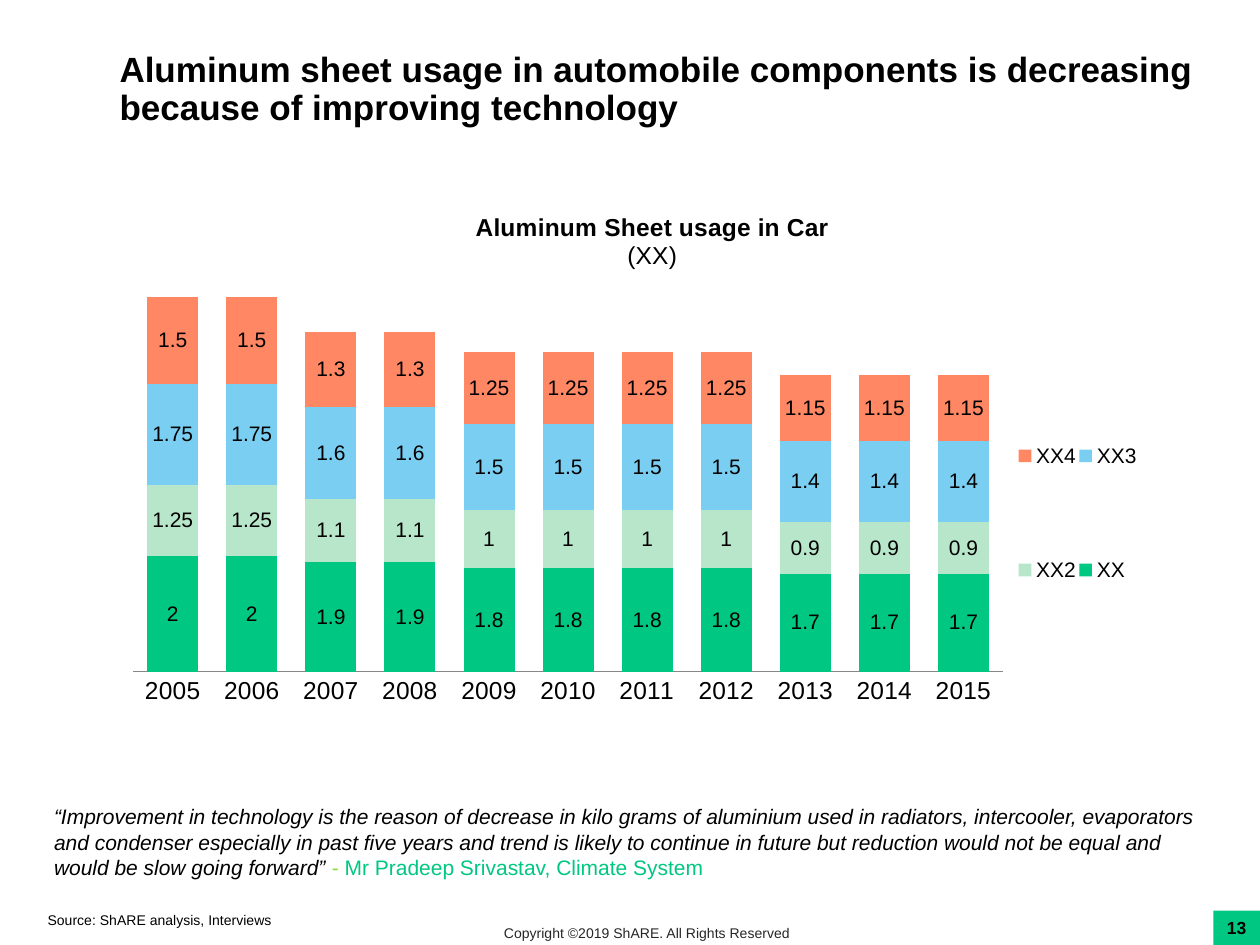
"""Build the slide on aluminum sheet usage in automobile components."""
import dataclasses

import lxml.etree
import pptx
import pptx.chart.data
import pptx.dml.color
import pptx.enum.chart
import pptx.enum.shapes
import pptx.enum.text
import pptx.oxml.ns
import pptx.util

Cm = pptx.util.Cm
Align = pptx.enum.text.PP_ALIGN
Anchor = pptx.enum.text.MSO_ANCHOR


@dataclasses.dataclass(frozen=True)
class Theme:
    font: str = "Arial"
    text: str = "000000"
    muted: str = "262626"
    green: str = "00C782"
    lime: str = "86E02D"
    axis: str = "878787"
    series: tuple = ("00C782", "B7E6CA", "79CEF1", "FF8763")
    title_size: int = 20
    chart_size: int = 14
    body_size: int = 12
    page_size: int = 10
    note_size: int = 8


def rgb(color):
    return pptx.dml.color.RGBColor.from_string(color)


def format_font(font, name, size, color, bold=False, italic=False):
    font.name = name
    font.size = pptx.util.Pt(size)
    font.color.rgb = rgb(color)
    font.bold = bold
    font.italic = italic


def write_text(paragraph, text, *, align=Align.LEFT, spacing=None, **style):
    paragraph.alignment = align
    if spacing:
        paragraph.line_spacing = spacing
    run = paragraph.add_run()
    run.text = text
    format_font(run.font, **style)


def set_layout(parent, index, inner=False, **fractions):
    qualify = pptx.oxml.ns.qn
    for previous in parent.findall(qualify("c:layout")):
        parent.remove(previous)
    layout = lxml.etree.Element(qualify("c:layout"))
    manual = lxml.etree.SubElement(layout, qualify("c:manualLayout"))
    settings = {"layoutTarget": "inner"} if inner else {}
    settings.update(xMode="edge", yMode="edge", **fractions)
    for name, value in settings.items():
        lxml.etree.SubElement(manual, qualify(f"c:{name}")).set("val", str(value))
    parent.insert(index, layout)


class SlideBuilder:
    def __init__(self, slide, theme):
        self.slide = slide
        self.theme = theme

    def style(self, size, color=None, **extra):
        return dict(name=self.theme.font, size=size, color=color or self.theme.text, **extra)

    def text_box(self, box, runs, wrap=True, anchor=Anchor.TOP, spacing=None):
        shape = self.slide.shapes.add_textbox(*map(Cm, box))
        frame = shape.text_frame
        frame.word_wrap = wrap
        frame.vertical_anchor = anchor
        for text, style in runs:
            write_text(frame.paragraphs[0], text, spacing=spacing, **style)

    def page_number(self, box, number):
        shape = self.slide.shapes.add_shape(
            pptx.enum.shapes.MSO_SHAPE.RECTANGLE, *map(Cm, box))
        shape.shadow.inherit = False
        shape.fill.solid()
        shape.fill.fore_color.rgb = rgb(self.theme.green)
        shape.line.fill.background()
        frame = shape.text_frame
        frame.word_wrap = False
        frame.vertical_anchor = Anchor.MIDDLE
        write_text(frame.paragraphs[0], number, align=Align.CENTER,
                   **self.style(self.theme.page_size, bold=True))

    def stacked_chart(self, box, title, unit, categories, series):
        theme = self.theme
        data = pptx.chart.data.CategoryChartData()
        data.categories = categories
        for name, values in series.items():
            data.add_series(name, values)
        chart = self.slide.shapes.add_chart(
            pptx.enum.chart.XL_CHART_TYPE.COLUMN_STACKED, *map(Cm, box), data).chart
        format_font(chart.font, **self.style(theme.body_size))
        self.chart_title(chart, title, unit)
        self.chart_axes(chart)
        self.chart_series(chart.plots[0])
        chart.has_legend = True
        chart.legend.position = pptx.enum.chart.XL_LEGEND_POSITION.RIGHT
        chart.legend.include_in_layout = False
        format_font(chart.legend.font, **self.style(theme.body_size))

        root = chart._chartSpace.chart
        find = lambda tag: root.find(pptx.oxml.ns.qn(tag))
        set_layout(find("c:title"), 1, x=0.34, y=0.04)
        set_layout(find("c:plotArea"), 0, inner=True, x=0.041, y=0.14, w=0.768, h=0.668)
        set_layout(find("c:legend"), 1, x=0.82, y=0.28, w=0.11, h=0.53)

    def chart_title(self, chart, title, unit):
        chart.has_title = True
        frame = chart.chart_title.text_frame
        size = self.theme.chart_size
        write_text(frame.paragraphs[0], title, align=Align.CENTER,
                   **self.style(size, bold=True))
        write_text(frame.add_paragraph(), unit, align=Align.CENTER, **self.style(size))

    def chart_axes(self, chart):
        value_axis = chart.value_axis
        value_axis.minimum_scale = 0
        value_axis.maximum_scale = 7
        value_axis.has_major_gridlines = False
        value_axis.visible = False
        category_axis = chart.category_axis
        category_axis.major_tick_mark = pptx.enum.chart.XL_TICK_MARK.NONE
        category_axis.format.line.color.rgb = rgb(self.theme.axis)
        format_font(category_axis.tick_labels.font, **self.style(self.theme.chart_size))

    def chart_series(self, plot):
        plot.gap_width = 55
        plot.overlap = 100
        plot.vary_by_categories = False
        for series, color in zip(plot.series, self.theme.series):
            series.format.fill.solid()
            series.format.fill.fore_color.rgb = rgb(color)
            labels = series.data_labels
            labels.show_value = True
            labels.position = pptx.enum.chart.XL_LABEL_POSITION.CENTER
            format_font(labels.font, **self.style(self.theme.body_size))


def main():
    presentation = pptx.Presentation()
    presentation.slide_width = Cm(25.4)
    presentation.slide_height = Cm(19.05)
    theme = Theme()
    slide = presentation.slides.add_slide(presentation.slide_layouts[6])
    builder = SlideBuilder(slide, theme)

    builder.page_number((24.46, 18.36, 0.94, 0.69), "13")
    builder.text_box(
        (9.91, 18.52, 6.45, 0.61),
        [("Copyright ©2019 ShARE. All Rights Reserved",
          builder.style(theme.note_size, theme.muted))], wrap=False)
    builder.text_box(
        (0.71, 18.26, 5.08, 0.61),
        [("Source: ShARE analysis, Interviews", builder.style(theme.note_size))], wrap=False)
    builder.text_box(
        (2.16, 0.43, 22.4, 2.77),
        [("Aluminum sheet usage in automobile components is decreasing "
          "because of improving technology", builder.style(theme.title_size, bold=True))],
        anchor=Anchor.MIDDLE, spacing=0.9)
    builder.stacked_chart(
        (1.75, 3.71, 22.83, 12.17), "Aluminum Sheet usage in Car", "(XX)",
        [str(year) for year in range(2005, 2016)],
        {"XX": [2] * 2 + [1.9] * 2 + [1.8] * 4 + [1.7] * 3,
         "XX2": [1.25] * 2 + [1.1] * 2 + [1] * 4 + [0.9] * 3,
         "XX3": [1.75] * 2 + [1.6] * 2 + [1.5] * 4 + [1.4] * 3,
         "XX4": [1.5] * 2 + [1.3] * 2 + [1.25] * 4 + [1.15] * 3})
    builder.text_box(
        (0.84, 16.08, 23.98, 1.8),
        [("“Improvement in technology is the reason of decrease in kilo grams of aluminium "
          "used in radiators, intercooler, evaporators and condenser especially in past five "
          "years and trend is likely to continue in future but reduction would not be equal "
          "and would be slow going forward” ", builder.style(theme.body_size, italic=True)),
         ("- ", builder.style(theme.body_size, theme.lime)),
         ("Mr Pradeep Srivastav, Climate System", builder.style(theme.body_size, theme.green))])
    presentation.save("out.pptx")


if __name__ == "__main__":
    main()
